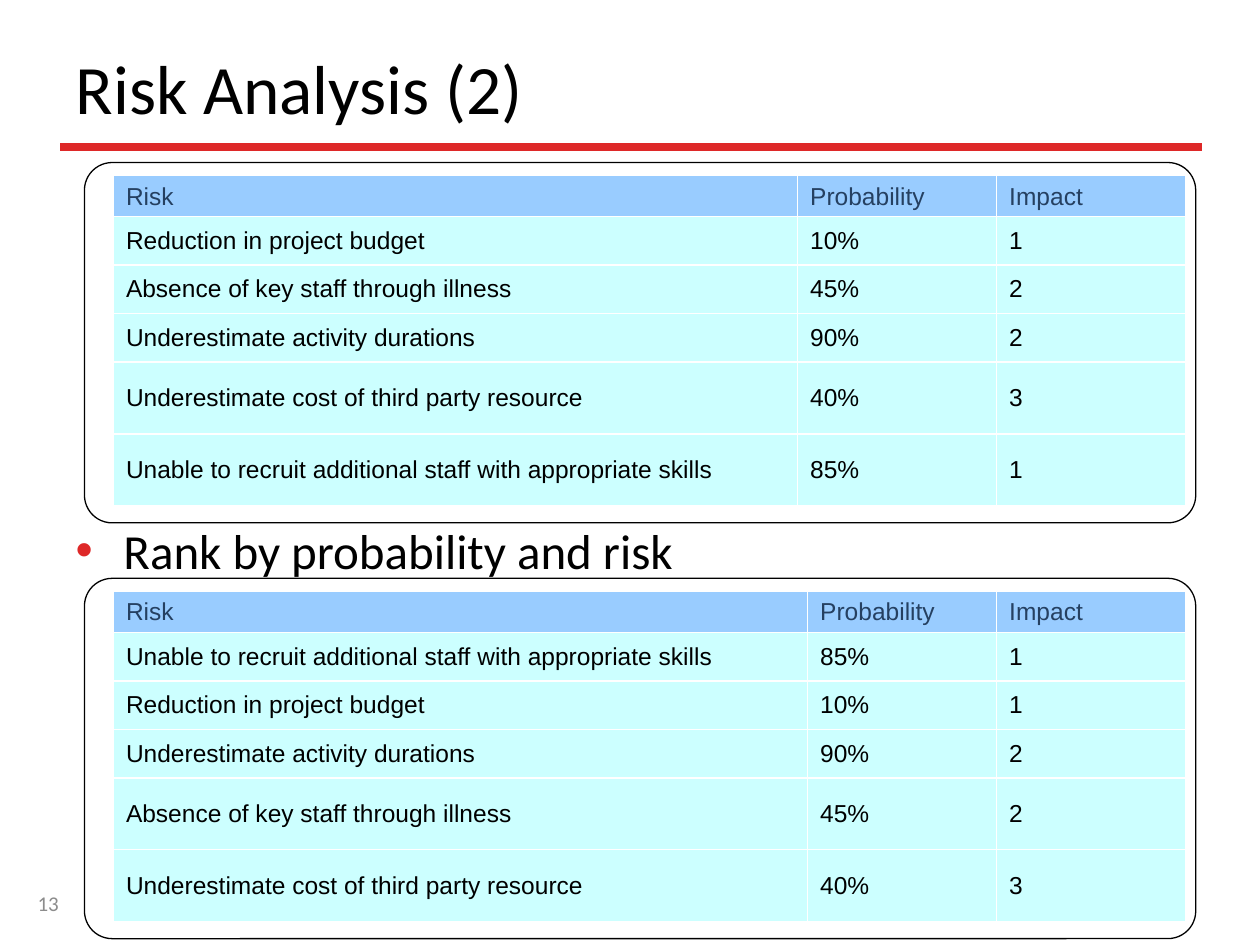
from lxml import etree
from pptx import Presentation
from pptx.dml.color import RGBColor
from pptx.enum.shapes import MSO_CONNECTOR, MSO_SHAPE
from pptx.enum.text import MSO_ANCHOR, MSO_AUTO_SIZE, PP_ALIGN
from pptx.oxml import parse_xml
from pptx.oxml.ns import nsdecls, qn
from pptx.util import Inches, Pt

# Content
TITLE = "Risk Analysis (2)"
BULLET = "Rank by probability and risk"
PAGE = "13"
HEADER = ("Risk", "Probability", "Impact")
BUDGET = ("Reduction in project budget", "10%", "1")
ABSENCE = ("Absence of key staff through illness", "45%", "2")
DURATIONS = ("Underestimate activity durations", "90%", "2")
COST = ("Underestimate cost of third party resource", "40%", "3")
SKILLS = ("Unable to recruit additional staff with appropriate skills", "85%", "1")

# Panel top, column widths, rows
PANELS = [
    (1.29, (5.43, 1.58, 1.5), (HEADER, BUDGET, ABSENCE, DURATIONS, COST, SKILLS)),
    (4.59, (5.51, 1.5, 1.5), (HEADER, SKILLS, BUDGET, DURATIONS, ABSENCE, COST)),
]
ROW_HEIGHTS = (0.33, 0.385, 0.385, 0.385, 0.57, 0.57)
RED, BLACK, WHITE = "DE2828", "000000", "FFFFFF"


def rgb(value):
    return RGBColor.from_string(value)


def set_font(p, name, size, color):
    p.font.name, p.font.size = name, Pt(size)
    p.font.color.rgb = rgb(color)


def place(sp, left, top, width, height):
    sp.left, sp.top = Inches(left), Inches(top)
    sp.width, sp.height = Inches(width), Inches(height)


def write(sp, text, size, color, anchor):
    tf = sp.text_frame
    tf.text = text
    tf.word_wrap = True
    tf.auto_size = MSO_AUTO_SIZE.NONE
    tf.vertical_anchor = anchor
    p = tf.paragraphs[0]
    p.alignment = PP_ALIGN.LEFT
    set_font(p, "Calibri", size, color)
    return p


def add_borders(cell, color, width):
    tc_pr = cell._tc.get_or_add_tcPr()
    for i, side in enumerate(("lnL", "lnR", "lnT", "lnB")):
        tc_pr.insert(i, parse_xml(
            f'<a:{side} {nsdecls("a")} w="{Pt(width)}"><a:solidFill>'
            f'<a:srgbClr val="{color}"/></a:solidFill></a:{side}>'))


def add_panel(slide, top, widths, rows):
    sp = slide.shapes.add_shape(MSO_SHAPE.ROUNDED_RECTANGLE, Inches(0.67),
                                Inches(top), Inches(8.82), Inches(2.86))
    sp.adjustments[0] = 0.077
    sp.shadow.inherit = False
    sp.fill.solid()
    sp.fill.fore_color.rgb = rgb(WHITE)
    sp.line.color.rgb = rgb(BLACK)
    sp.line.width = Pt(0.75)

    table = slide.shapes.add_table(
        len(rows), len(widths), Inches(0.9), Inches(top + 0.1),
        Inches(sum(widths)), Inches(sum(ROW_HEIGHTS))).table
    for column, width in zip(table.columns, widths):
        column.width = Inches(width)
    for i, (row, height) in enumerate(zip(rows, ROW_HEIGHTS)):
        is_header = i == 0
        table.rows[i].height = Inches(height)
        for j, text in enumerate(row):
            cell = table.cell(i, j)
            cell.text = text
            cell.vertical_anchor = MSO_ANCHOR.BOTTOM if is_header else MSO_ANCHOR.MIDDLE
            cell.fill.solid()
            cell.fill.fore_color.rgb = rgb("99CCFF" if is_header else "CCFFFF")
            p = cell.text_frame.paragraphs[0]
            set_font(p, "Arial", 14, "254061" if is_header else BLACK)
            p.font.bold = False
            add_borders(cell, WHITE, 1)


prs = Presentation()
prs.slide_width, prs.slide_height = Inches(10), Inches(7.5)
slide = prs.slides.add_slide(prs.slide_layouts[1])

# Title and red rule
title, body = slide.shapes.title, slide.placeholders[1]
place(title, 0.5, 0.3, 9, 0.77)
write(title, TITLE, 39.6, BLACK, MSO_ANCHOR.MIDDLE)
rule = slide.shapes.add_connector(MSO_CONNECTOR.STRAIGHT, Inches(0.48),
                                  Inches(1.17), Inches(9.54), Inches(1.17))
rule.line.color.rgb = rgb(RED)
rule.line.width = Pt(4.5)
etree.SubElement(rule._element.spPr, qn("a:effectLst"))

# Bullet between the panels
place(body, 0.5, 4.08, 9, 2.55)
p = write(body, BULLET, 28, BLACK, MSO_ANCHOR.TOP)
p_pr = p._p.get_or_add_pPr()
p_pr.set("marL", str(Inches(0.38)))
p_pr.set("indent", str(-Inches(0.38)))
p_pr.insert(0, parse_xml(f'<a:buClr {nsdecls("a")}><a:srgbClr val="{RED}"/></a:buClr>'))

# Page number
number = slide.shapes.add_textbox(Inches(0.2), Inches(6.97), Inches(2.33), Inches(0.4))
write(number, PAGE, 12, "8C8C8C", MSO_ANCHOR.MIDDLE)

# Framed tables
for panel in PANELS:
    add_panel(slide, *panel)

prs.save("out.pptx")
